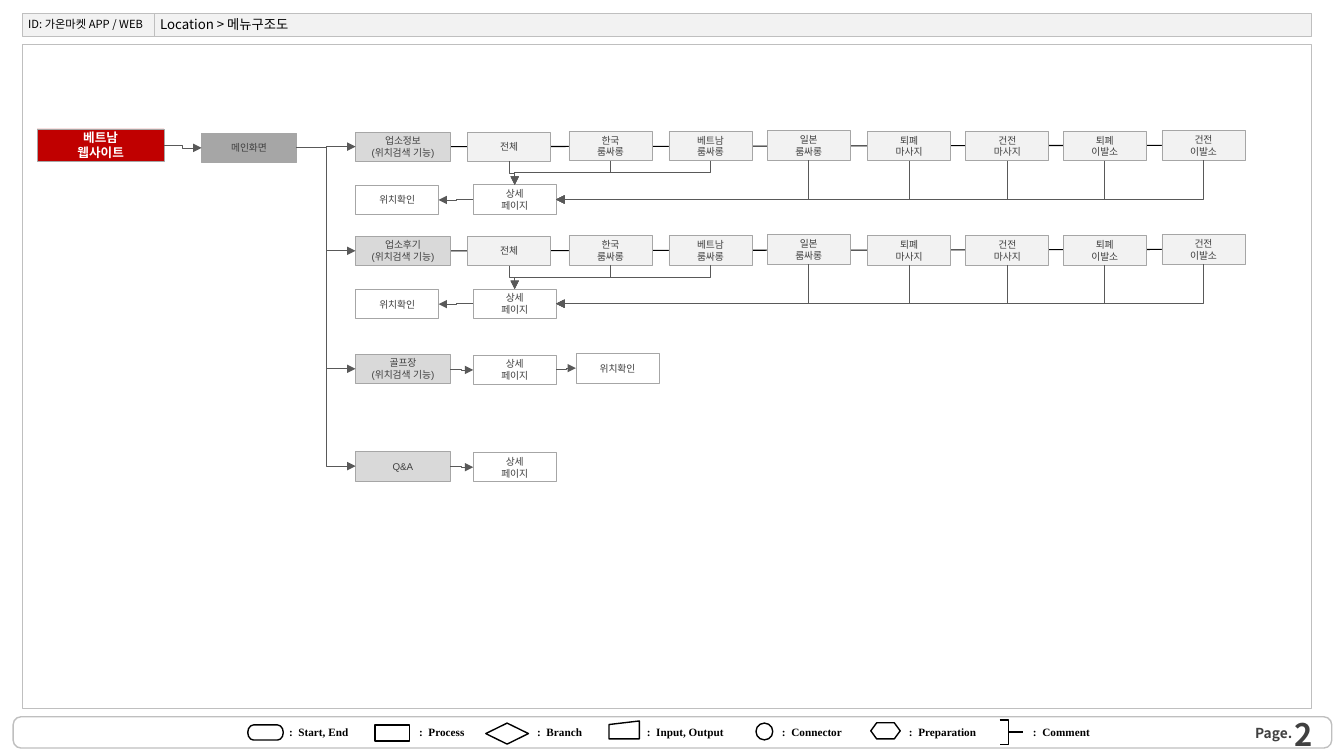
from lxml import etree
from pptx import Presentation
from pptx.dml.color import RGBColor
from pptx.enum.shapes import MSO_CONNECTOR, MSO_SHAPE
from pptx.enum.text import MSO_ANCHOR, MSO_AUTO_SIZE, PP_ALIGN
from pptx.oxml.ns import qn
from pptx.util import Pt

RECT = MSO_SHAPE.RECTANGLE
STRAIGHT, ELBOW = MSO_CONNECTOR.STRAIGHT, MSO_CONNECTOR.ELBOW
LEFT, CENTER, RIGHT = PP_ALIGN.LEFT, PP_ALIGN.CENTER, PP_ALIGN.RIGHT
MIDDLE, NO_FIT = MSO_ANCHOR.MIDDLE, MSO_AUTO_SIZE.NONE
SIDE_LEFT, SIDE_RIGHT = 1, 3
NOTO, ARIAL, TIMES = "Noto Sans CJK KR", "Arial", "Times New Roman"
COLORS = {
    "white": "FFFFFF", "black": "000000", "red": "C00000", "text": "404040",
    "arrow": "595959", "main": "A6A6A6", "frame": "BFBFBF",
    "category": "D9D9D9", "venue": "F2F2F2",
}
BOX_H, CATEGORY_W, BOX_W = 21, 67.7, 59.3
VENUES = [
    (80, 0, "전체"), (152.4, -0.5, "한국\n룸싸롱"), (223.8, -0.5, "베트남\n룸싸롱"),
    (294, -1, "일본\n룸싸롱"), (365.7, -0.5, "퇴폐\n마사지"), (435.9, -0.5, "건전\n마사지"),
    (505.5, -0.5, "퇴폐\n이발소"), (576, -1, "건전\n이발소"),
]
LEGEND = [
    (MSO_SHAPE.FLOWCHART_TERMINATOR, 177, 5.8, 25.4, 10.8, 199.4, "Start, End"),
    (MSO_SHAPE.FLOWCHART_PROCESS, 268, 5.8, 24.5, 11.5, 292.3, "Process"),
    (MSO_SHAPE.FLOWCHART_DECISION, 347, 4.5, 30.5, 15, 376.6, "Branch"),
    (MSO_SHAPE.FLOWCHART_MANUAL_INPUT, 435, 3, 21.7, 12.8, 455, "Input, Output"),
    (MSO_SHAPE.FLOWCHART_CONNECTOR, 540, 4.5, 12, 12, 551.5, "Connector"),
    (MSO_SHAPE.FLOWCHART_PREPARATION, 622, 4.3, 21, 11.5, 642.2, "Preparation"),
    (None, 714, 2.2, 6.5, 17.5, 730.8, "Comment"),
]


def rgb(name):
    """Return the named colour."""
    return RGBColor.from_string(COLORS[name])


def write(sp, text, size=7, font=ARIAL, color="text", bold=False, align=LEFT, inset=(7.2, 3.6)):
    """Write formatted lines of text in a shape."""
    tf = sp.text_frame
    tf.word_wrap, tf.auto_size, tf.vertical_anchor = True, NO_FIT, MIDDLE
    tf.margin_left = tf.margin_right = Pt(inset[0])
    tf.margin_top = tf.margin_bottom = Pt(inset[1])
    for i, line in enumerate(text.split("\n")):
        p = tf.add_paragraph() if i else tf.paragraphs[0]
        p.alignment = align
        r = p.add_run()
        r.text = line
        r.font.name, r.font.size, r.font.bold = font, Pt(size), bold
        r.font.color.rgb = rgb(color)
        etree.SubElement(r.font._element, qn("a:ea"), typeface=font)


def add_text(s, x, y, w, h, text, **fmt):
    """Add a text box."""
    write(s.shapes.add_textbox(Pt(x), Pt(y), Pt(w), Pt(h)), text, **fmt)


def style(sp, fill, line, width):
    """Set fill and outline and drop the shadow."""
    sp.shadow.inherit = False
    if fill:
        sp.fill.solid()
        sp.fill.fore_color.rgb = rgb(fill)
    else:
        sp.fill.background()
    sp.line.color.rgb = rgb(line)
    sp.line.width = Pt(width)
    return sp


def add_shape(s, kind, x, y, w, h, fill=None, line="frame", width=0.25):
    """Add a preset shape."""
    return style(s.shapes.add_shape(kind, Pt(x), Pt(y), Pt(w), Pt(h)), fill, line, width)


def add_node(s, x, y, w, text, fill="white", h=BOX_H, **fmt):
    """Add a labelled box of the site map."""
    sp = add_shape(s, RECT, x, y, w, h, fill, "main", 0.5)
    write(sp, text, align=CENTER, **fmt)
    return sp


def add_line(s, kind, x1, y1, x2, y2, color="arrow", width=0.5, arrow=True):
    """Add a connector, with an arrowhead at its end if wanted."""
    c = s.shapes.add_connector(kind, Pt(x1), Pt(y1), Pt(x2), Pt(y2))
    c.line.color.rgb = rgb(color)
    c.line.width = Pt(width)
    spPr = c._element.spPr
    if arrow:
        etree.SubElement(spPr.find(qn("a:ln")), qn("a:tailEnd"), type="triangle")
    etree.SubElement(spPr, qn("a:effectLst"))
    return c


def join(c, start, end, sides=(SIDE_RIGHT, SIDE_LEFT)):
    """Attach a connector to two boxes."""
    c.begin_connect(start, sides[0])
    c.end_connect(end, sides[1])


def link(s, start, end, sides=(SIDE_RIGHT, SIDE_LEFT)):
    """Join two boxes with an elbow arrow."""
    join(add_line(s, ELBOW, 0, 0, 1, 1), start, end, sides)


def drop(s, x1, y1, x2, y2, geom):
    """Add an elbow arrow that leaves downwards."""
    cx, cy = (x1 + x2) / 2, (y1 + y2) / 2
    half_w, half_h = (y2 - y1) / 2, abs(x2 - x1) / 2
    turn, sign = (90, 1) if x2 < x1 else (270, -1)
    c = add_line(s, ELBOW, cx - sign * half_w, cy - half_h, cx + sign * half_w, cy + half_h)
    c.rotation = turn
    spPr = c._element.spPr
    spPr.find(qn("a:xfrm")).set("rot", str(turn * 60000))
    spPr.find(qn("a:prstGeom")).set("prst", geom)


def add_header(s, x, y, w, h):
    """Draw the bar with the project name and the slide title."""
    id_w = 94.3
    add_shape(s, RECT, x + id_w, y, w - id_w, h, "venue")
    add_shape(s, RECT, x, y, id_w, h, "venue")
    add_text(s, x + 0.7, y - 2, id_w, 20, "ID: 가온마켓 APP / WEB",
             size=8, font=NOTO, color="black", inset=(3.6, 0))
    title = s.shapes.title
    title.left, title.top, title.width, title.height = Pt(x + 95), Pt(y - 2), Pt(585), Pt(20)
    write(title, "Location > 메뉴구조도", size=9.5, font=NOTO, color="black", inset=(3.6, 0))
    s.shapes._spTree.append(title._element)


def add_venue_row(s, x, y, category):
    """Draw a category with its venues, detail page and location check."""
    c = add_line(s, STRAIGHT, x, y, x + 1, y, "black", 0.75, False)
    head = add_node(s, x, y, CATEGORY_W, category, "category")
    boxes = [add_node(s, x + dx, y + dy, BOX_W, text, "venue") for dx, dy, text in VENUES]
    join(c, head, boxes[-1])
    detail_x, detail_y = x + 84, y + 37.7
    detail = add_node(s, detail_x, detail_y, BOX_W, "상세\n페이지")
    for i, (dx, dy, _) in enumerate(VENUES):
        start = x + dx + BOX_W / 2, y + dy + BOX_H
        if i < 3:
            drop(s, *start, detail_x + BOX_W / 2, detail_y, "bentConnector3")
        else:
            drop(s, *start, detail_x + BOX_W, detail_y + BOX_H / 2, "bentConnector2")
    check = add_node(s, x, detail_y + 0.3, BOX_W, "위치확인")
    link(s, detail, check, (SIDE_LEFT, SIDE_RIGHT))
    return head


def add_page_row(s, x, y, category, check=False):
    """Draw a category that leads straight to a detail page."""
    head = add_node(s, x, y, CATEGORY_W, category, "category")
    detail = add_node(s, x + 84, y + 0.7, BOX_W, "상세\n페이지")
    link(s, head, detail)
    if check:
        link(s, detail, add_node(s, x + 157.4, y - 0.5, BOX_W, "위치확인"))
    return head


def add_site_map(s, x, y, w, h):
    """Draw the frame and the menu tree in it."""
    add_shape(s, RECT, x, y, w, h)
    root = add_node(s, x + 10.6, y + 60.4, 90.5, "베트남\n웹사이트", "red", 23,
                    size=9, color="white", bold=True)
    main = add_node(s, x + 128, y + 63.4, CATEGORY_W, "메인화면", "main")
    link(s, root, main)
    row_x = x + 238
    heads = [
        add_venue_row(s, row_x, y + 62.6, "업소정보\n(위치검색 기능)"),
        add_venue_row(s, row_x, y + 137, "업소후기\n(위치검색 기능)"),
        add_page_row(s, row_x, y + 221.3, "골프장\n(위치검색 기능)", check=True),
        add_page_row(s, row_x, y + 290.8, "Q&A"),
    ]
    for head in heads:
        link(s, main, head)


def add_footer(s, x, y, w, h):
    """Draw the symbol legend and the page number."""
    add_shape(s, MSO_SHAPE.ROUNDED_RECTANGLE, x, y, w, h, width=1).adjustments[0] = 0.25
    for kind, dx, dy, sym_w, sym_h, label_x, label in LEGEND:
        sx, sy = dx, y + dy
        if kind:
            add_shape(s, kind, sx, sy, sym_w, sym_h, "white", "black", 1)
        else:
            fb = s.shapes.build_freeform(Pt(sx), Pt(sy))
            corners = [(sx + sym_w, sy), (sx + sym_w, sy + sym_h), (sx, sy + sym_h)]
            fb.add_line_segments([(Pt(a), Pt(b)) for a, b in corners], close=False)
            style(fb.convert_to_shape(), None, "black", 1)
            mid = sy + sym_h / 2
            add_line(s, STRAIGHT, sx + sym_w, mid, sx + sym_w + 10.5, mid, "black", 1, False)
        add_text(s, label_x, y + 2.2, 72, 17, ":  " + label,
                 size=8, font=TIMES, color="black", bold=True, inset=(7.2, 0))
    add_text(s, x + w - 54.7, y + 5.8, 42, 12, "Page.", size=9.8, font=NOTO, bold=True, inset=(0, 0))
    add_text(s, x + w - 230, y + 6.5, 223.5, 11.5, "2", size=22.1, font=NOTO, bold=True, align=RIGHT)


def main():
    """Build and save the slide."""
    prs = Presentation()
    prs.slide_width, prs.slide_height = Pt(960), Pt(540)
    s = prs.slides.add_slide(prs.slide_layouts[5])
    add_footer(s, 9.4, 512, 941.8, 22.3)
    add_header(s, 15.8, 9.4, 921, 16.6)
    add_site_map(s, 16, 31.7, 920.9, 474.5)
    prs.save("out.pptx")


if __name__ == "__main__":
    main()
